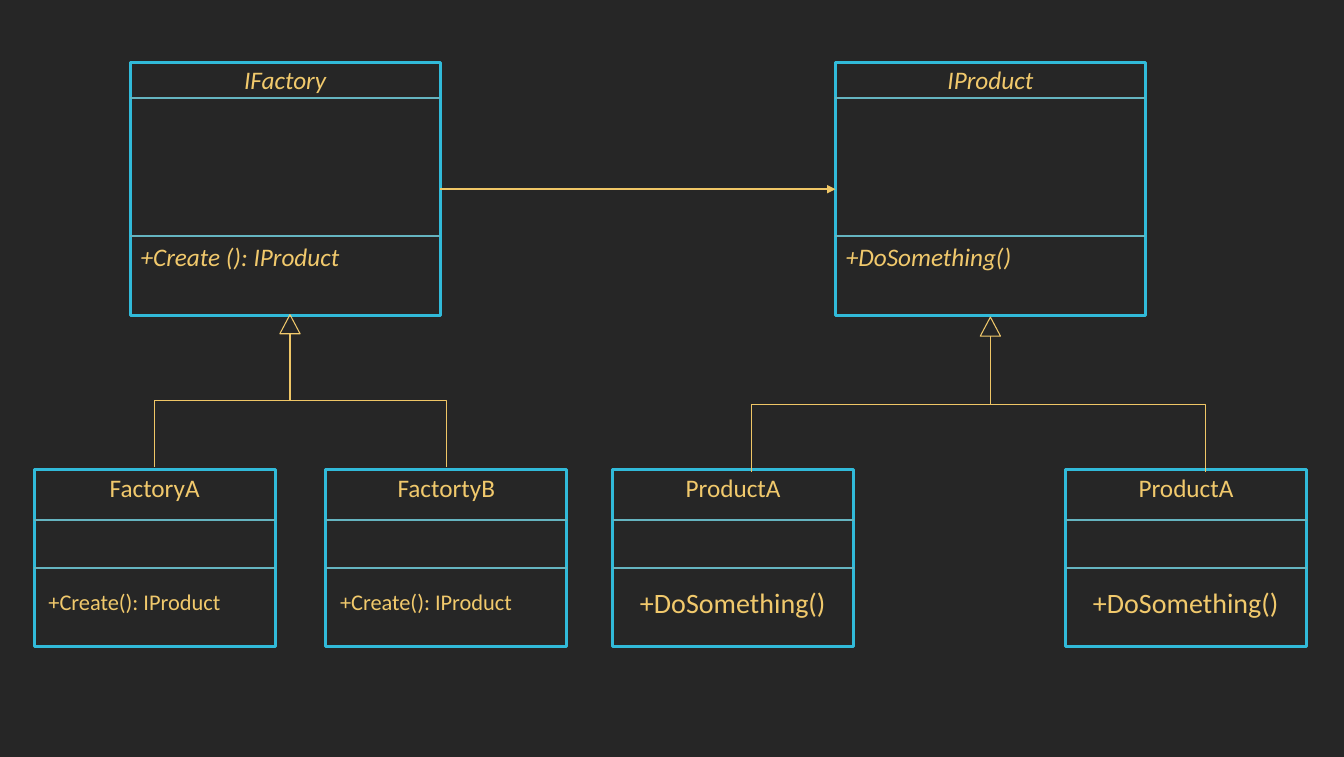
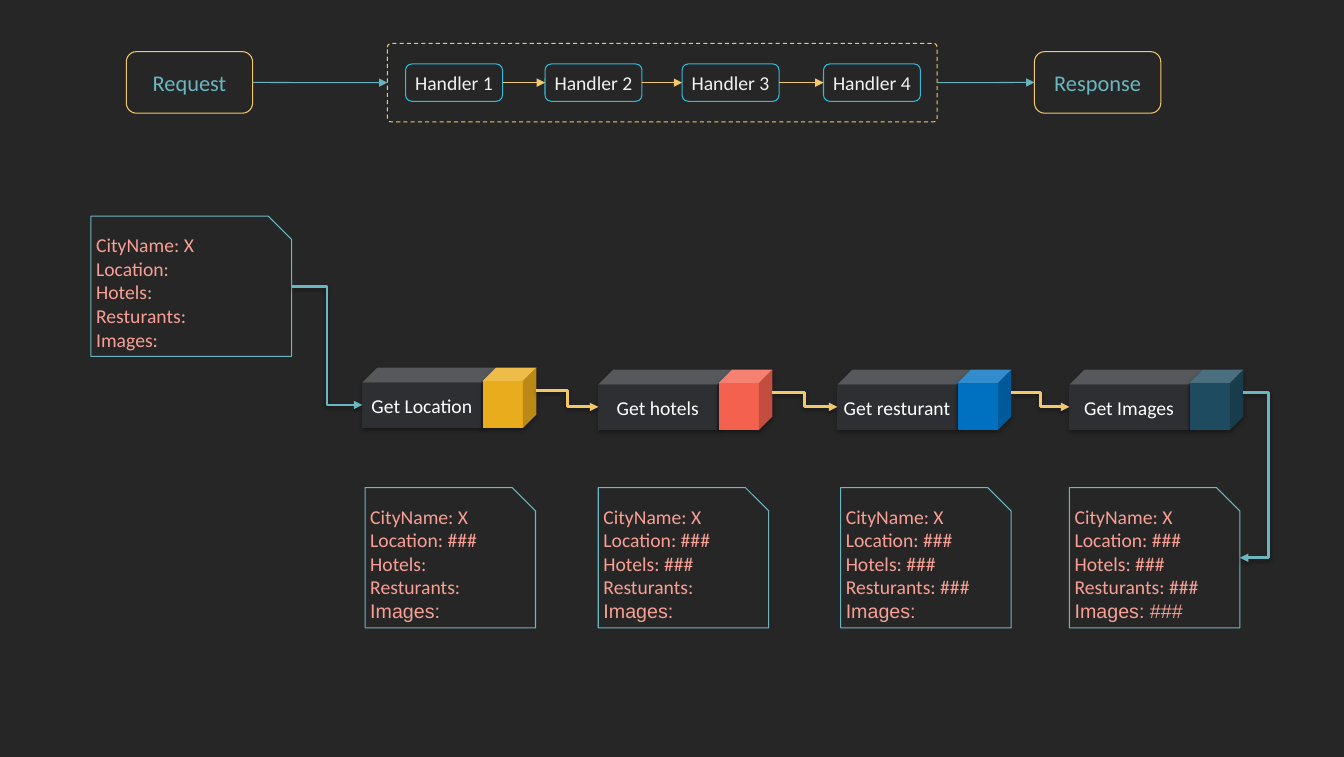
from lxml.etree import SubElement
from pptx import Presentation
from pptx.dml.color import RGBColor
from pptx.enum.dml import MSO_LINE
from pptx.enum.shapes import MSO_CONNECTOR as LINK, MSO_SHAPE as SHAPE
from pptx.enum.text import MSO_ANCHOR as ANCHOR, PP_ALIGN as ALIGN
from pptx.oxml.ns import qn
from pptx.util import Cm, Pt

COLORS = {
    "background": "262626", "cyan": "31BAD9", "teal": "65B4C0", "aqua": "6AB7C2",
    "gold": "F1C96C", "amber": "EFC666", "coral": "F8A095", "pale": "F2F2F2",
    "white": "FFFFFF", "graphite": "2E2F33", "yellow": "E9AC1C", "red": "F4614E",
    "blue": "0070C0", "navy": "1F4B60",
}
FONT = "Calibri"
INSET = 0.13
RIGHT, LEFT = 3, 1  # connection sites of a rectangle

# Class diagram: left edge, name, method; lengths in cm
INTERFACES = [(3.28, "IFactory", "+Create (): IProduct"),
              (21.03, "IProduct", "+DoSomething()")]
INTERFACE_STYLE = dict(top=1.57, width=7.8, height=6.38, dividers=(2.46, 5.94),
                       name_top=1.5, italic=True)
INTERFACE_METHOD = dict(indent=INSET, method_top=5.94, size=18)

CREATE = ("+Create(): IProduct", dict(indent=0.23, method_top=14.66, size=16))
DO_SOMETHING = ("+DoSomething()", dict(indent=0.56, method_top=14.6, size=20))
CLASSES = [(0.86, "FactoryA", CREATE), (8.2, "FactortyB", CREATE),
           (15.42, "ProductA", DO_SOMETHING), (26.82, "ProductA", DO_SOMETHING)]
CLASS_STYLE = dict(top=11.81, width=6.07, height=4.47, dividers=(13.08, 14.3),
                   name_top=11.76, italic=False)

# Inheritance: apex x, apex y, x of each child, y of the children
INHERITANCE = [(7.3, 7.92, (3.89, 11.23), 11.76),
               (24.93, 7.98, (18.92, 30.35), 11.89)]
TRIANGLE = (0.51, 0.48)

# Handler chain
ENDPOINTS = [(3.18, "Request"), (26.04, "Response")]
HANDLERS = [10.21, 13.72, 17.17, 20.73]

# Trip pipeline: cube left, cube top, note left, label, end colour
STAGES = [(9.12, 9.25, 9.19, "Get Location", "yellow"),
          (15.06, 9.3, 15.06, "Get hotels", "red"),
          (21.08, 9.3, 21.16, "Get resturant", "blue"),
          (26.92, 9.3, 26.92, "Get Images", "navy")]
FIELDS = ["Location", "Hotels", "Resturants", "Images"]
BODY_WIDTH, CAP_OFFSET, CAP_WIDTH, CUBE_HEIGHT = 3.38, 3.03, 1.35, 1.52
OUT_OFFSET, IN_OFFSET = 0.58, 0.94
NOTE_TOP, NOTE_WIDTH, NOTE_HEIGHT = 12.27, 4.29, 3.53
INPUT_LEFT, INPUT_TOP, INPUT_WIDTH = 2.29, 5.44, 5.05
RETURN_X = 31.93


def rgb(color):
    return RGBColor.from_string(COLORS[color])


def set_shadow(shape, shadowed):
    effects = SubElement(shape._element.spPr, qn("a:effectLst"))
    if shadowed:
        cast = SubElement(effects, qn("a:outerShdw"), blurRad=str(Pt(3)),
                          dist=str(Pt(1.8)), dir="5400000", rotWithShape="0")
        black = SubElement(cast, qn("a:srgbClr"), val="000000")
        SubElement(black, qn("a:alpha"), val="35000")


def write(shape, lines, size, color, align=ALIGN.LEFT, anchor=ANCHOR.TOP,
          italic=False, side=INSET):
    frame = shape.text_frame
    frame.word_wrap = True
    frame.vertical_anchor = anchor
    frame.margin_left = frame.margin_right = Cm(side)
    frame.margin_top = frame.margin_bottom = Cm(INSET)
    frame.text = "\n".join(lines)
    for paragraph in frame.paragraphs:
        paragraph.alignment = align
        font = paragraph.font
        font.name, font.size, font.italic = FONT, Pt(size), italic
        font.color.rgb = rgb(color)


def add_label(slide, left, top, width, text, size, **style):
    box = slide.shapes.add_textbox(Cm(left), Cm(top), Cm(width), Cm(0.91))
    write(box, [text], size, "gold", **style)


def add_box(slide, kind, left, top, width, height, line=None, weight=0.75,
            fill=None, shadowed=False):
    shape = slide.shapes.add_shape(kind, Cm(left), Cm(top), Cm(width), Cm(height))
    if fill:
        shape.fill.solid()
        shape.fill.fore_color.rgb = rgb(fill)
    else:
        shape.fill.background()
    if line:
        shape.line.color.rgb = rgb(line)
        shape.line.width = Pt(weight)
    else:
        shape.line.fill.background()
    set_shadow(shape, shadowed)
    return shape


def add_link(slide, kind, start, end, color, weight, arrow=False, shadowed=False):
    link = slide.shapes.add_connector(kind, *map(Cm, (*start, *end)))
    link.line.color.rgb = rgb(color)
    link.line.width = Pt(weight)
    if arrow:
        SubElement(link.line._get_or_add_ln(), qn("a:tailEnd"), type="triangle")
    set_shadow(link, shadowed)
    return link


def join(slide, source, target, color, weight):
    """Glue a straight arrow from the right of source to the left of target."""
    arrow = add_link(slide, LINK.STRAIGHT, (0, 0), (1, 1), color, weight, arrow=True)
    arrow.begin_connect(source, RIGHT)
    arrow.end_connect(target, LEFT)


def add_drop(slide, start, end):
    """Elbow that leaves downwards: a sideways elbow turned by a quarter."""
    (x1, y1), (x2, y2) = start, end
    mid_x, mid_y = (x1 + x2) / 2, (y1 + y2) / 2
    half_w, half_h = (y2 - y1) / 2, abs(x2 - x1) / 2
    turn, side = (270, -1) if x2 > x1 else (90, 1)
    elbow = add_link(slide, LINK.ELBOW,
                     (mid_x - side * half_w, mid_y - half_h),
                     (mid_x + side * half_w, mid_y + half_h), "amber", 0.75)
    elbow._element.spPr.find(qn("a:xfrm")).set("rot", str(turn * 60000))


def add_step(slide, start, end, color, via=None):
    """Shadowed elbow arrow, bending at x = via if given, else halfway."""
    elbow = add_link(slide, LINK.ELBOW, start, end, color, 2, arrow=True, shadowed=True)
    if via is not None:
        bend = round((via - start[0]) / (end[0] - start[0]) * 100000)
        geometry = elbow._element.spPr.find(qn("a:prstGeom"))
        SubElement(geometry.get_or_add_avLst(), qn("a:gd"), name="adj1", fmla=f"val {bend}")


def add_class(slide, left, name, method, style, method_style):
    width = style["width"]
    box = add_box(slide, SHAPE.RECTANGLE, left, style["top"], width, style["height"],
                  "cyan", 2)
    for y in style["dividers"]:
        add_link(slide, LINK.STRAIGHT, (left, y), (left + width, y), "teal", 1.5)
    italic, indent = style["italic"], method_style["indent"]
    add_label(slide, left + INSET, style["name_top"], width - 2 * INSET, name, 18,
              align=ALIGN.CENTER, italic=italic)
    add_label(slide, left + indent, method_style["method_top"], width - indent, method,
              method_style["size"], italic=italic)
    return box


def add_note(slide, left, top, width, filled):
    values = ["CityName: X"] + [f"{field}: ###" if i < filled else f"{field}:"
                                for i, field in enumerate(FIELDS)]
    note = add_box(slide, SHAPE.SNIP_1_RECTANGLE, left, top, width, NOTE_HEIGHT, "aqua")
    write(note, values, 14, "coral", anchor=ANCHOR.MIDDLE)
    if filled:
        note.text_frame.paragraphs[-1].font.name = "Arial"


def build_factory(slide):
    factory, product = [add_class(slide, *interface, INTERFACE_STYLE, INTERFACE_METHOD)
                        for interface in INTERFACES]
    join(slide, factory, product, "amber", 1.5)
    for left, name, (method, method_style) in CLASSES:
        add_class(slide, left, name, method, CLASS_STYLE, method_style)
    width, height = TRIANGLE
    for x, y, children, child_y in INHERITANCE:
        add_box(slide, SHAPE.ISOSCELES_TRIANGLE, x - width / 2, y, width, height, "gold")
        for child_x in children:
            add_drop(slide, (x, y + height), (child_x, child_y))


def build_handlers(slide):
    endpoints = []
    for left, text in ENDPOINTS:
        card = add_box(slide, SHAPE.ROUNDED_RECTANGLE, left, 1.3, 3.18, 1.55, "gold")
        write(card, [text], 16, "aqua", ALIGN.CENTER, ANCHOR.MIDDLE)
        endpoints.append(card)
    request, response = endpoints
    chain = add_box(slide, SHAPE.ROUNDED_RECTANGLE, 9.75, 1.09, 13.84, 1.98, "gold")
    chain.adjustments[0] = 0.05
    chain.line.dash_style = MSO_LINE.DASH
    join(slide, request, chain, "teal", 0.75)
    join(slide, chain, response, "teal", 0.75)

    handlers = []
    for number, left in enumerate(HANDLERS, 1):
        handler = add_box(slide, SHAPE.ROUNDED_RECTANGLE, left, 1.61, 2.44, 0.94, "cyan")
        write(handler, [f"Handler {number}"], 14, "pale", ALIGN.CENTER)
        handlers.append(handler)
    for source, target in zip(handlers, handlers[1:]):
        join(slide, source, target, "gold", 0.75)


def build_pipeline(slide):
    add_note(slide, INPUT_LEFT, INPUT_TOP, INPUT_WIDTH, 0)
    outlet, color = (INPUT_LEFT + INPUT_WIDTH, INPUT_TOP + NOTE_HEIGHT / 2), "aqua"
    for number, (left, top, note_left, label, cap_color) in enumerate(STAGES, 1):
        body = add_box(slide, SHAPE.CUBE, left, top, BODY_WIDTH, CUBE_HEIGHT,
                       fill="graphite", shadowed=True)
        write(body, [label], 14, "white", ALIGN.CENTER, ANCHOR.MIDDLE, side=0)
        add_box(slide, SHAPE.CUBE, left + CAP_OFFSET, top, CAP_WIDTH, CUBE_HEIGHT,
                fill=cap_color, shadowed=True)
        add_step(slide, outlet, (left, top + IN_OFFSET), color)
        add_note(slide, note_left, NOTE_TOP, NOTE_WIDTH, number)
        outlet, color = (left + CAP_OFFSET + CAP_WIDTH, top + OUT_OFFSET), "gold"
    last_note = (note_left + NOTE_WIDTH, NOTE_TOP + NOTE_HEIGHT / 2)
    add_step(slide, outlet, last_note, "aqua", via=RETURN_X)


def main():
    deck = Presentation()
    deck.slide_width, deck.slide_height = Cm(33.83), Cm(19.05)
    backdrop = deck.slide_master.background.fill
    backdrop.solid()
    backdrop.fore_color.rgb = rgb("background")
    blank = deck.slide_layouts[6]
    build_factory(deck.slides.add_slide(blank))
    chain_slide = deck.slides.add_slide(blank)
    build_handlers(chain_slide)
    build_pipeline(chain_slide)
    deck.save("out.pptx")


if __name__ == "__main__":
    main()
